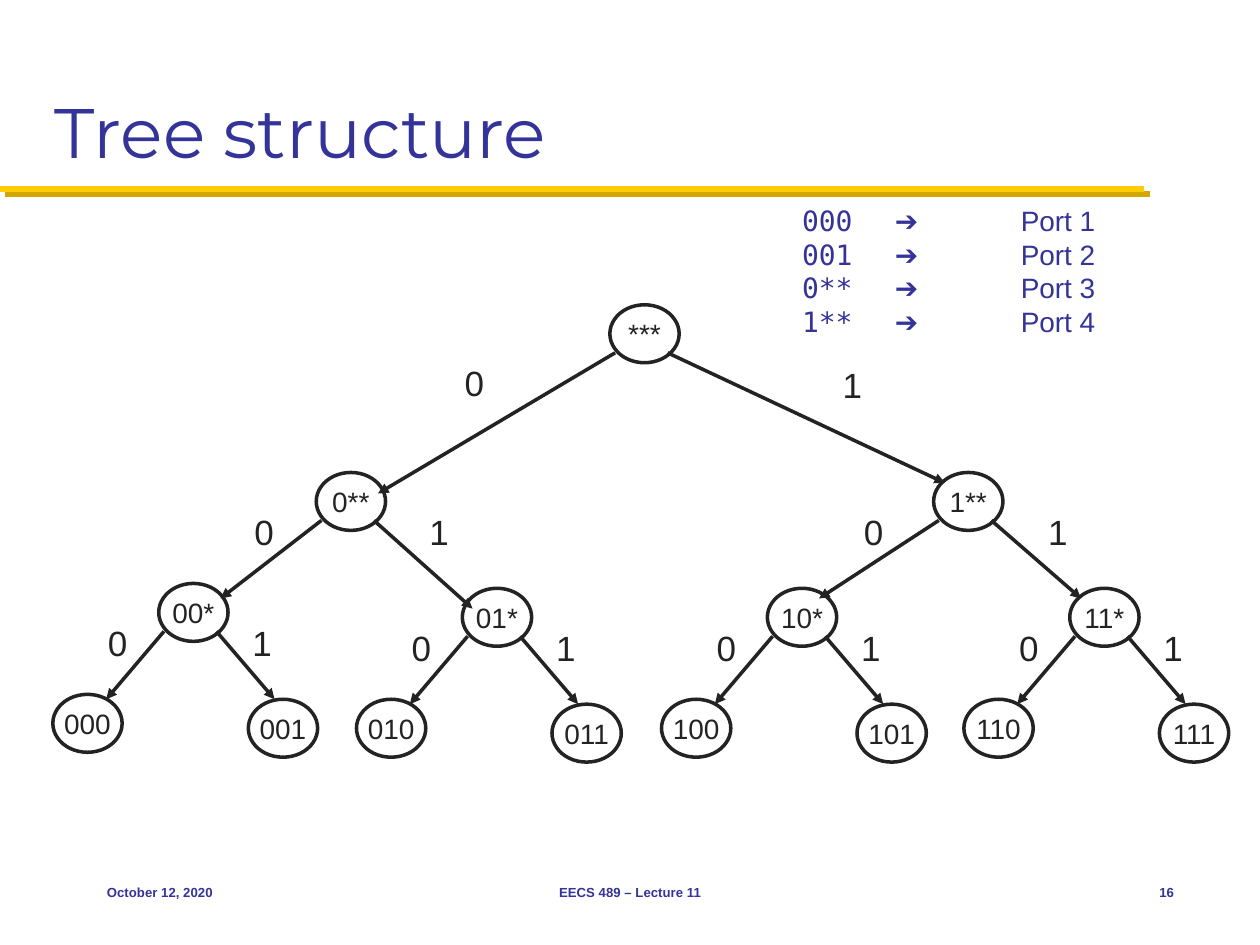
from lxml import etree
from pptx import Presentation
from pptx.dml.color import RGBColor
from pptx.enum.shapes import MSO_CONNECTOR, MSO_SHAPE
from pptx.enum.text import MSO_ANCHOR, MSO_AUTO_SIZE, PP_ALIGN
from pptx.oxml.ns import qn
from pptx.util import Pt

STRAIGHT, OVAL = MSO_CONNECTOR.STRAIGHT, MSO_SHAPE.OVAL
LEFT, CENTER, RIGHT = PP_ALIGN.LEFT, PP_ALIGN.CENTER, PP_ALIGN.RIGHT
TOP, MIDDLE, BOTTOM = MSO_ANCHOR.TOP, MSO_ANCHOR.MIDDLE, MSO_ANCHOR.BOTTOM

NAVY = RGBColor(0x33, 0x33, 0x99)
INK = RGBColor(0x23, 0x23, 0x23)
WHITE = RGBColor(0xFF, 0xFF, 0xFF)
GOLD = RGBColor(0xFF, 0xCB, 0x05)
DARK_GOLD = RGBColor(0xD3, 0xA6, 0x00)
SANS, MONO, HEADING = "Arial", "DejaVu Sans Mono", "Montserrat"

# Content
TITLE = "Tree structure"
ROUTES = [("000", "Port 1"), ("001", "Port 2"), ("0**", "Port 3"), ("1**", "Port 4")]
ROUTE_TABS = (53, 125)
FOOTERS = [  # text, left, width, alignment
    ("October 12, 2020", 54, 150, LEFT),
    ("EECS 489 – Lecture 11", 246, 228, CENTER),
    ("16", 630, 48, RIGHT),
]

# Upper branches: node corner, then arrow tip and label corner for bits 0 and 1
UPPER = {
    "***": ((348.5, 174.2), [((216, 282), (252, 203)), ((540, 276), (468, 204))]),
    "0**": ((180.7, 270), [((126, 342), (131.8, 288)), ((270, 347.8), (231.8, 288))]),
    "1**": ((533.5, 270), [((468, 342), (480.2, 288)), ((617.8, 342), (585.4, 288))]),
}
# Lower branches share one pattern, relative to the node corner
LOWER = {"00*": (90.7, 333.4), "01*": (264.2, 336.2),
         "10*": (438.5, 336.2), "11*": (611.3, 336.2)}
LEAF_OFFSETS = [(-60.5, 63.4), (51.2, 66.2)]
TIP_OFFSETS = [(-30, 66.2), (66.2, 66.2)]
LABEL_OFFSETS = [(-42.5, 18), (40, 18)]
START_OFFSETS = [(3, 27.4), (33, 27.4)]
NODE_SIZE = (39.6, 33.1)
LABEL_SIZE = (38.2, 31)

prs = Presentation()
prs.slide_width, prs.slide_height = Pt(720), Pt(540)
slide = prs.slides.add_slide(prs.slide_layouts[5])
shapes = slide.shapes


def points(*lengths):
    return [Pt(length) for length in lengths]


def shift(corner, offset):
    return corner[0] + offset[0], corner[1] + offset[1]


def write(shape, text, size=16, font=SANS, color=INK, bold=False, align=CENTER,
          anchor=TOP, wrap=True, inset=(7.2, 3.6), tabs=()):
    """Fill a shape; text is a string or a list of paragraphs of (text, font) runs."""
    frame = shape.text_frame
    frame.auto_size = MSO_AUTO_SIZE.NONE
    frame.word_wrap, frame.vertical_anchor = wrap, anchor
    frame.margin_left = frame.margin_right = Pt(inset[0])
    frame.margin_top = frame.margin_bottom = Pt(inset[1])
    paragraphs = [[(text, font)]] if isinstance(text, str) else text
    for index, runs in enumerate(paragraphs):
        paragraph = frame.add_paragraph() if index else frame.paragraphs[0]
        paragraph.alignment = align
        if tabs:
            tab_list = etree.SubElement(paragraph._p.get_or_add_pPr(), qn("a:tabLst"))
            for stop in tabs:
                etree.SubElement(tab_list, qn("a:tab"), pos=str(Pt(stop)), algn="l")
        for words, face in runs:
            run = paragraph.add_run()
            run.text = words
            run.font.name, run.font.size, run.font.bold = face, Pt(size), bold
            run.font.color.rgb = color


def add_text(corner, extent, text, **text_format):
    write(shapes.add_textbox(*points(*corner, *extent)), text, **text_format)


def add_line(start, end, color, width, arrow=False):
    """Draw a straight line and return its effect list, left empty."""
    line = shapes.add_connector(STRAIGHT, *points(*start, *end))
    line.line.color.rgb, line.line.width = color, Pt(width)
    properties = line._element.spPr
    if arrow:
        etree.SubElement(properties.find(qn("a:ln")), qn("a:tailEnd"), type="triangle")
    return etree.SubElement(properties, qn("a:effectLst"))


def add_node(corner, text):
    node = shapes.add_shape(OVAL, *points(*corner, *NODE_SIZE))
    node.shadow.inherit = False
    node.fill.solid()
    node.fill.fore_color.rgb = WHITE
    node.line.color.rgb, node.line.width = INK, Pt(2)
    write(node, text, anchor=MIDDLE, wrap=False)


# Title and its shadowed rule
title = shapes.title
title.left, title.top, title.width, title.height = points(24, 12, 672, 90)
write(title, TITLE, size=40, font=HEADING, color=NAVY, align=LEFT, anchor=BOTTOM)
rule_effects = add_line((0, 108), (654, 108), GOLD, 3.5)
shadow = etree.SubElement(rule_effects, qn("a:outerShdw"), dist=str(Pt(4.2)),
                          dir="2700000", algn="ctr", rotWithShape="0")
etree.SubElement(shadow, qn("a:srgbClr"), val=str(DARK_GOLD))

# Tree: nodes first, then arrows and bit labels on top
nodes = {prefix: corner for prefix, (corner, _) in UPPER.items()} | LOWER
branches = {prefix: targets for prefix, (_, targets) in UPPER.items()}
for prefix, corner in LOWER.items():
    branches[prefix] = [(shift(corner, tip), shift(corner, label))
                        for tip, label in zip(TIP_OFFSETS, LABEL_OFFSETS)]
    for bit, offset in enumerate(LEAF_OFFSETS):
        nodes[prefix.replace("*", str(bit))] = shift(corner, offset)

for prefix, corner in nodes.items():
    add_node(corner, prefix)
for prefix, targets in branches.items():
    for bit, (tip, label) in enumerate(targets):
        add_line(shift(nodes[prefix], START_OFFSETS[bit]), tip, INK, 2, arrow=True)
        add_text(label, LABEL_SIZE, str(bit), size=20)

# Forwarding table
add_text((458.3, 116.5), (231, 80),
         [[(f"{prefix}\t", MONO), (f"➔\t{port}", SANS)] for prefix, port in ROUTES],
         color=NAVY, align=LEFT, inset=(0, 0), tabs=ROUTE_TABS)

# Footer
for text, left, width, align in FOOTERS:
    add_text((left, 492), (width, 36), text, size=7.5, color=NAVY, bold=True,
             align=align, anchor=MIDDLE)

prs.save("out.pptx")
